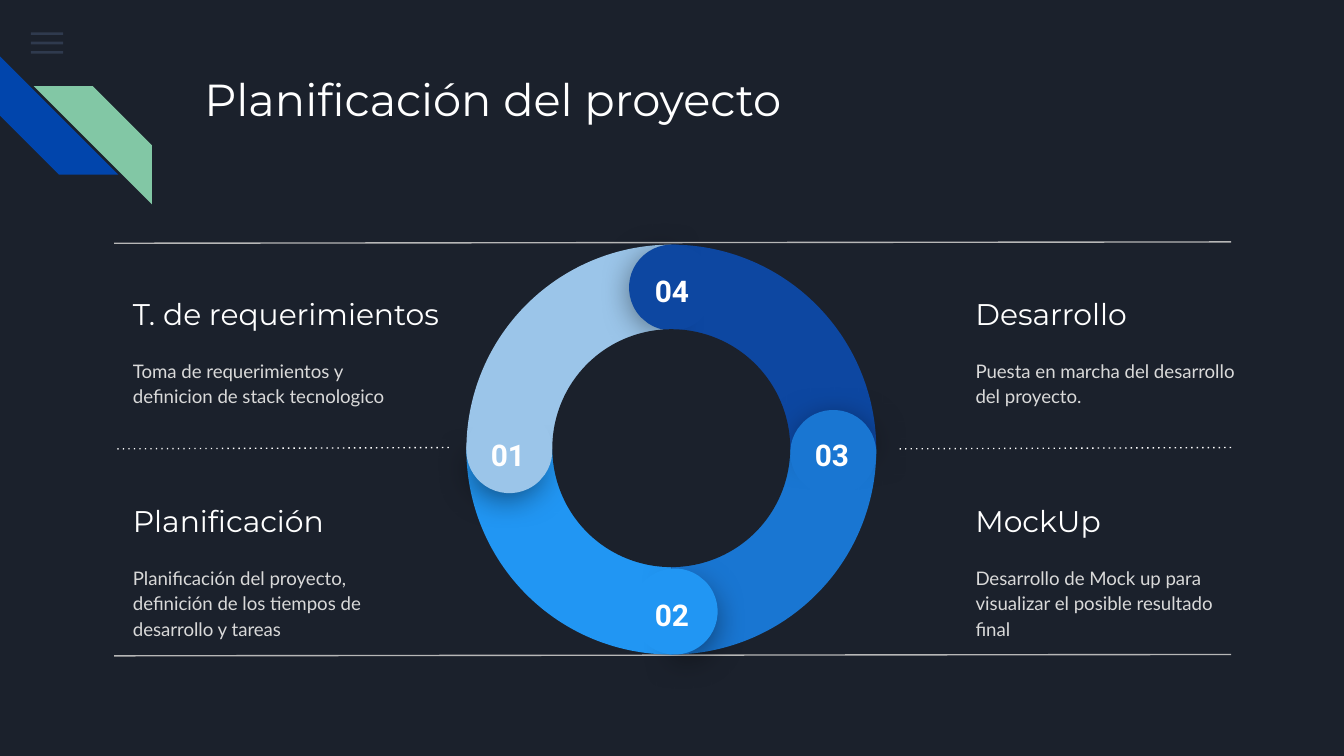
"""Build the project planning slide with a four-part ring."""
from dataclasses import dataclass

from pptx import Presentation
from pptx.dml.color import RGBColor
from pptx.enum.dml import MSO_LINE
from pptx.enum.shapes import MSO_CONNECTOR, MSO_SHAPE as Preset
from pptx.enum.text import MSO_ANCHOR as Anchor, MSO_AUTO_SIZE, PP_ALIGN as Align
from pptx.oxml.ns import qn
from pptx.oxml.xmlchemy import OxmlElement
from pptx.shapes.autoshape import Shape
from pptx.slide import Slide
from pptx.text.text import TextFrame
from pptx.util import Inches, Pt

NAVY = RGBColor(0x1B, 0x21, 0x2C)
SLATE = RGBColor(0x55, 0x68, 0x8B)
COBALT = RGBColor(0x01, 0x45, 0xAC)
GREEN = RGBColor(0x82, 0xC7, 0xA5)
WHITE = RGBColor(0xFF, 0xFF, 0xFF)
SILVER = RGBColor(0xD9, 0xD9, 0xD9)
GRAY = RGBColor(0xB7, 0xB7, 0xB7)
PALE_BLUE = RGBColor(0x9B, 0xC5, 0xE9)
SKY_BLUE = RGBColor(0x21, 0x96, 0xF3)
MID_BLUE = RGBColor(0x19, 0x76, 0xD2)
DEEP_BLUE = RGBColor(0x0D, 0x47, 0xA1)

Area = tuple[float, float, float, float]
Point = tuple[float, float]

RING: Area = (3.47, 1.82, 3.05, 3.05)
HOLE: Area = (4.11, 2.45, 1.77, 1.77)
QUARTER = (107.957, 162.013)
CHORD_ANGLES = (25.006, 18.12)


@dataclass
class Step:
    heading: str
    detail: str
    left: float
    top: float
    heading_width: float = 2.49


@dataclass
class Segment:
    number: str
    color: RGBColor
    turn: float
    cap: Point
    chord: Point
    label: Point
    cap_angles: Point = (189.535, 83.81)


@dataclass
class Rule:
    start: Point
    end: Point
    color: RGBColor
    dotted: bool = False


STEPS = [
    Step("T. de requerimientos",
         "Toma de requerimientos y definicion de stack tecnologico", 0.89, 2.09),
    Step("Planificación",
         "Planificación del proyecto, definición de los tiempos de desarrollo y tareas",
         0.89, 3.63),
    Step("Desarrollo", "Puesta en marcha del desarrollo del proyecto.", 7.16, 2.09, 2.44),
    Step("MockUp", "Desarrollo de Mock up para visualizar el posible resultado final",
         7.16, 3.63, 1.66),
]
SEGMENTS = [
    Segment("01", PALE_BLUE, 0, (3.48, 3.07), (3.47, 3.03), (3.5, 3.15)),
    Segment("02", SKY_BLUE, 270, (4.74, 4.28), (4.7, 4.23), (4.72, 4.34)),
    Segment("03", MID_BLUE, 180, (5.93, 3.07), (5.88, 3.05), (5.91, 3.15), (196.87, 77.71)),
    Segment("04", DEEP_BLUE, 90, (4.7, 1.83), (4.68, 1.82), (4.72, 1.93)),
]
RULES = [
    Rule((9.16, 1.8), (0.85, 1.81), GRAY),
    Rule((3.34, 3.33), (0.85, 3.34), WHITE, True),
    Rule((9.16, 3.33), (6.67, 3.34), WHITE, True),
    Rule((9.16, 4.87), (0.85, 4.88), GRAY),
]


def add_alpha(color: OxmlElement, percent: int) -> None:
    alpha = OxmlElement("a:alpha")
    alpha.set("val", str(percent * 1000))
    color.append(alpha)


def add_figure(page: Slide, preset: Preset, area: Area, color: RGBColor,
               rotation: float = 0, angles: tuple[float, ...] = ()) -> Shape:
    figure = page.shapes.add_shape(preset, *map(Inches, area))
    figure.shadow.inherit = False
    figure.fill.solid()
    figure.fill.fore_color.rgb = color
    figure.line.fill.background()
    figure.rotation = rotation
    for index, angle in enumerate(angles):
        figure.adjustments[index] = angle
    return figure


def add_shadow(figure: Shape) -> None:
    shadow = OxmlElement("a:outerShdw")
    for name, value in (("blurRad", Pt(18)), ("dist", Pt(4)), ("dir", 90 * 60000)):
        shadow.set(name, str(int(value)))
    shadow.set("algn", "bl")
    shadow.set("rotWithShape", "0")
    color = OxmlElement("a:srgbClr")
    color.set("val", "000000")
    add_alpha(color, 55)
    shadow.append(color)
    figure._element.spPr.find(qn("a:effectLst")).append(shadow)


def write(frame: TextFrame, text: str, font: str, size: float, color: RGBColor,
          anchor: Anchor = Anchor.TOP, align: Align = Align.LEFT, bold: bool = False) -> None:
    frame.word_wrap = True
    frame.auto_size = MSO_AUTO_SIZE.NONE
    frame.vertical_anchor = anchor
    frame.margin_left = frame.margin_right = Inches(0.1)
    frame.margin_top = frame.margin_bottom = Inches(0.1)
    frame.text = text
    para = frame.paragraphs[0]
    para.alignment = align
    para.font.name = font
    para.font.size = Pt(size)
    para.font.bold = bold
    para.font.color.rgb = color


def add_box(page: Slide, area: Area) -> TextFrame:
    return page.shapes.add_textbox(*map(Inches, area)).text_frame


def add_decoration(page: Slide) -> None:
    for row in range(3):
        bar = add_figure(page, Preset.RECTANGLE, (0.23, 0.24 + 0.07 * row, 0.24, 0.02), SLATE)
        add_alpha(bar._element.spPr.find(".//" + qn("a:srgbClr")), 36)
    add_figure(page, Preset.DIAGONAL_STRIPE, (0, 0.42, 0.88, 0.88), COBALT, 270, (0.5,))
    stripe = add_figure(page, Preset.DIAGONAL_STRIPE, (0.25, 0.64, 0.88, 0.88), GREEN, 0, (0.5,))
    stripe._element.spPr.find(qn("a:xfrm")).set("flipH", "1")


def add_title(page: Slide) -> None:
    title = page.shapes.title
    title.left, title.top, title.width, title.height = map(Inches, (1.42, 0.43, 7.7, 1))
    write(title.text_frame, "Planificación del proyecto", "Montserrat", 24, WHITE)


def add_step(page: Slide, step: Step) -> None:
    heading = add_box(page, (step.left, step.top, step.heading_width, 0.49))
    write(heading, step.heading, "Montserrat", 16, WHITE, Anchor.MIDDLE)
    detail = add_box(page, (step.left, step.top + 0.46, 2.18, 0.76))
    write(detail, step.detail, "Lato", 10, SILVER)
    detail.paragraphs[0].line_spacing = 1.15
    detail.paragraphs[0].space_after = Pt(16)


def add_rule(page: Slide, rule: Rule) -> None:
    line = page.shapes.add_connector(
        MSO_CONNECTOR.STRAIGHT, *map(Inches, (*rule.start, *rule.end)))
    line.line.color.rgb = rule.color
    line.line.width = Pt(0.75)
    if rule.dotted:
        line.line.dash_style = MSO_LINE.ROUND_DOT
        line._element.spPr.find(".//" + qn("a:prstDash")).set("val", "dot")
    line._element.spPr.append(OxmlElement("a:effectLst"))


def add_cap(page: Slide, segment: Segment) -> None:
    cap = add_figure(page, Preset.PIE, (*segment.cap, 0.57, 0.57), segment.color,
                     segment.turn + 39.5, segment.cap_angles)
    add_shadow(cap)
    add_figure(page, Preset.CHORD, (*segment.chord, 0.64, 0.64), segment.color,
               segment.turn + 4.1, CHORD_ANGLES)
    label = add_box(page, (*segment.label, 0.56, 0.29))
    write(label, segment.number, "Roboto", 16, WHITE, align=Align.CENTER, bold=True)


def main() -> None:
    deck = Presentation()
    deck.slide_width, deck.slide_height = Inches(10), Inches(5.625)
    page = deck.slides.add_slide(deck.slide_layouts[5])
    page.background.fill.solid()
    page.background.fill.fore_color.rgb = NAVY
    add_decoration(page)
    add_title(page)
    for step in STEPS:
        add_step(page, step)
    for rule in RULES:
        add_rule(page, rule)
    for segment in SEGMENTS:
        add_figure(page, Preset.PIE, RING, segment.color, segment.turn, QUARTER)
    for segment in SEGMENTS:
        add_cap(page, segment)
    add_figure(page, Preset.OVAL, HOLE, NAVY)
    deck.save("out.pptx")


if __name__ == "__main__":
    main()
